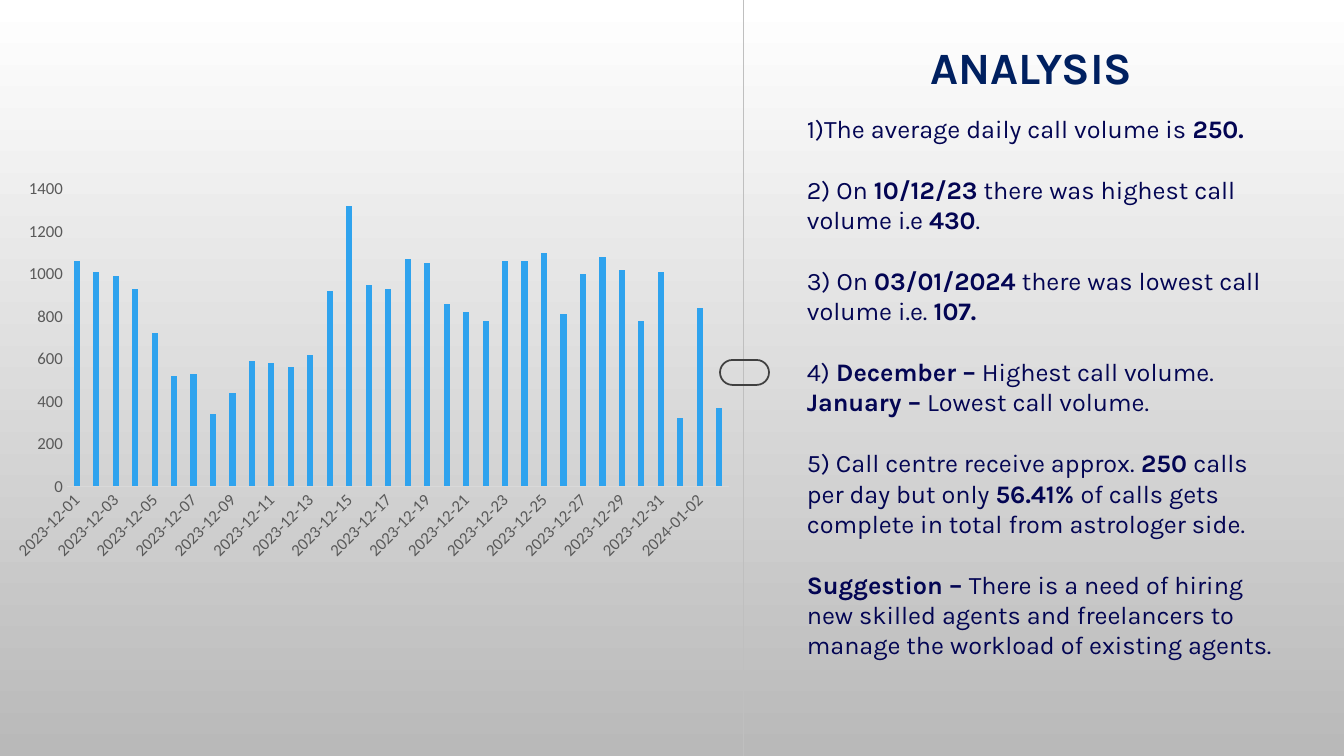
from dataclasses import dataclass

from lxml.etree import SubElement
from pptx import Presentation
from pptx.chart.data import CategoryChartData
from pptx.dml.color import RGBColor
from pptx.enum.chart import XL_CHART_TYPE, XL_TICK_MARK
from pptx.enum.shapes import MSO_CONNECTOR, MSO_SHAPE
from pptx.enum.text import MSO_ANCHOR, MSO_AUTO_SIZE, PP_ALIGN
from pptx.oxml.ns import qn
from pptx.util import Pt

EMU_PER_PX = 914400 / 100.8
WIDTH, HEIGHT = 1344, 756
DIVIDER_X = 744
TITLE_ONLY = 5

DAYS = [f"2023-12-{day:02}" for day in range(1, 32)]
DAYS += [f"2024-01-{day:02}" for day in range(1, 4)]
CALLS = [1060, 1010, 990, 930, 720, 520, 530, 340, 440, 590, 580, 560,
         620, 920, 1320, 950, 930, 1070, 1050, 860, 820, 780, 1060, 1060,
         1100, 810, 1000, 1080, 1020, 780, 1010, 320, 840, 370]


@dataclass
class Finding:
    """One paragraph of the analysis; ** switches bold on and off."""
    text: str
    gap_before: int = 22


FINDINGS = [
    Finding("1)The average daily call volume is **250.**", 0),
    Finding("2) On **10/12/23** there was highest call volume i.e **430**."),
    Finding("3) On **03/01/2024** there was lowest call volume i.e. **107.**"),
    Finding("4)** December –** Highest call volume."),
    Finding("**January –** Lowest call volume.", 0),
    Finding("5) Call centre receive approx.** 250 **calls per day but only "
            "**56.41% **of calls gets complete in total from astrologer side."),
    Finding("**Suggestion – **There is a need of hiring new skilled agents and "
            "freelancers to manage the workload of existing agents."),
]


def px(length: int) -> int:
    return round(length * EMU_PER_PX)


def rgb(color: str) -> RGBColor:
    return RGBColor.from_string(color)


def place(shape, left: int, top: int, width: int, height: int) -> None:
    shape.left, shape.top = px(left), px(top)
    shape.width, shape.height = px(width), px(height)


def set_frame(frame, inset: int | None = None) -> None:
    frame.word_wrap = True
    frame.auto_size = MSO_AUTO_SIZE.SHAPE_TO_FIT_TEXT
    frame.vertical_anchor = MSO_ANCHOR.TOP
    if inset is not None:
        frame.margin_left = frame.margin_right = px(inset)
        frame.margin_top = frame.margin_bottom = px(inset)


def write(paragraph, text: str, *, size: int, color: str, font: str = "Karla",
          gap_before: int = 0, line_height: int | None = None) -> None:
    """Fill a paragraph, making the parts between ** marks bold."""
    paragraph.alignment = PP_ALIGN.LEFT
    paragraph.space_before = Pt(gap_before)
    if line_height:
        paragraph.line_spacing = Pt(line_height)
    for index, part in enumerate(text.split("**")):
        if part:
            run = paragraph.add_run()
            run.text = part
            run.font.name = font
            run.font.size = Pt(size)
            run.font.bold = index % 2 == 1
            run.font.color.rgb = rgb(color)


def paint_background(slide) -> None:
    fill = slide.background.fill
    fill.gradient()
    fill.gradient_angle = 270
    for stop, position, color in zip(fill.gradient_stops, (0, 1), ("FFFFFF", "B9B9B9")):
        stop.position = position
        stop.color.rgb = rgb(color)


def add_divider(slide) -> None:
    divider = slide.shapes.add_connector(
        MSO_CONNECTOR.STRAIGHT, px(DIVIDER_X), 0, px(DIVIDER_X), px(HEIGHT))
    divider.line.color.rgb = rgb("BFBFBF")
    divider.line.width = Pt(0.75)
    SubElement(divider._element.spPr, qn("a:effectLst"))


def add_handle(slide) -> None:
    handle = slide.shapes.add_shape(
        MSO_SHAPE.ROUNDED_RECTANGLE, px(720), px(360), px(49), px(25))
    handle.adjustments[0] = 0.5
    handle.shadow.inherit = False
    handle.fill.background()
    handle.line.color.rgb = rgb("404040")
    handle.line.width = Pt(1.25)


def add_title(slide) -> None:
    title = slide.shapes.title
    place(title, 930, 37, 305, 52)
    set_frame(title.text_frame, inset=0)
    write(title.text_frame.paragraphs[0], "**ANALYSIS**",
          size=32, color="002060", line_height=40)


def add_findings(slide) -> None:
    frame = slide.shapes.add_textbox(px(797), px(108), px(492), px(591)).text_frame
    set_frame(frame)
    for index, finding in enumerate(FINDINGS):
        paragraph = frame.add_paragraph() if index else frame.paragraphs[0]
        write(paragraph, finding.text, size=18, color="030553",
              gap_before=finding.gap_before)


def style_axis(axis) -> None:
    axis.major_tick_mark = axis.minor_tick_mark = XL_TICK_MARK.NONE
    axis.has_major_gridlines = False
    font = axis.tick_labels.font
    font.name, font.size, font.bold = "Calibri", Pt(12), False
    font.color.rgb = rgb("595959")


def set_plot_layout(chart, **fractions: float) -> None:
    """Fix the inner plot area by fractions of the chart's size."""
    plot_area = chart._chartSpace.chart.plotArea
    for old in plot_area.findall(qn("c:layout")):
        plot_area.remove(old)
    layout = SubElement(plot_area, qn("c:layout"))
    plot_area.insert(0, layout)
    manual = SubElement(layout, qn("c:manualLayout"))
    settings = {"layoutTarget": "inner", "xMode": "edge", "yMode": "edge", **fractions}
    for tag, value in settings.items():
        SubElement(manual, qn(f"c:{tag}")).set("val", str(value))


def add_call_chart(slide) -> None:
    data = CategoryChartData()
    data.categories = DAYS
    data.add_series("Series 1", CALLS)
    chart = slide.shapes.add_chart(
        XL_CHART_TYPE.COLUMN_CLUSTERED, 0, px(169), px(DIVIDER_X), px(397), data).chart
    chart.has_title = chart.has_legend = False
    chart.font.name, chart.font.size = "Calibri", Pt(10)
    chart.font.color.rgb = rgb("000000")

    plot = chart.plots[0]
    plot.gap_width, plot.overlap = 219, -27
    plot.vary_by_categories = False
    bars = plot.series[0].format.fill
    bars.solid()
    bars.fore_color.rgb = rgb("2FA3EE")

    days, calls = chart.category_axis, chart.value_axis
    style_axis(days)
    style_axis(calls)
    days.format.line.color.rgb = rgb("D9D9D9")
    days.format.line.width = Pt(0.75)
    days._element.txPr.bodyPr.set("rot", "-2700000")
    skip = days._element.makeelement(qn("c:tickLblSkip"), {"val": "2"})
    days._element.find(qn("c:noMultiLvlLbl")).addprevious(skip)
    calls.format.line.fill.background()
    calls.minimum_scale, calls.maximum_scale, calls.major_unit = 0, 1400, 200
    set_plot_layout(chart, x=0.09, y=0.05, w=0.89, h=0.75)


def main() -> None:
    deck = Presentation()
    deck.slide_width, deck.slide_height = px(WIDTH), px(HEIGHT)
    slide = deck.slides.add_slide(deck.slide_layouts[TITLE_ONLY])
    paint_background(slide)
    add_divider(slide)
    add_title(slide)
    add_handle(slide)
    add_findings(slide)
    add_call_chart(slide)
    deck.save("out.pptx")


if __name__ == "__main__":
    main()
